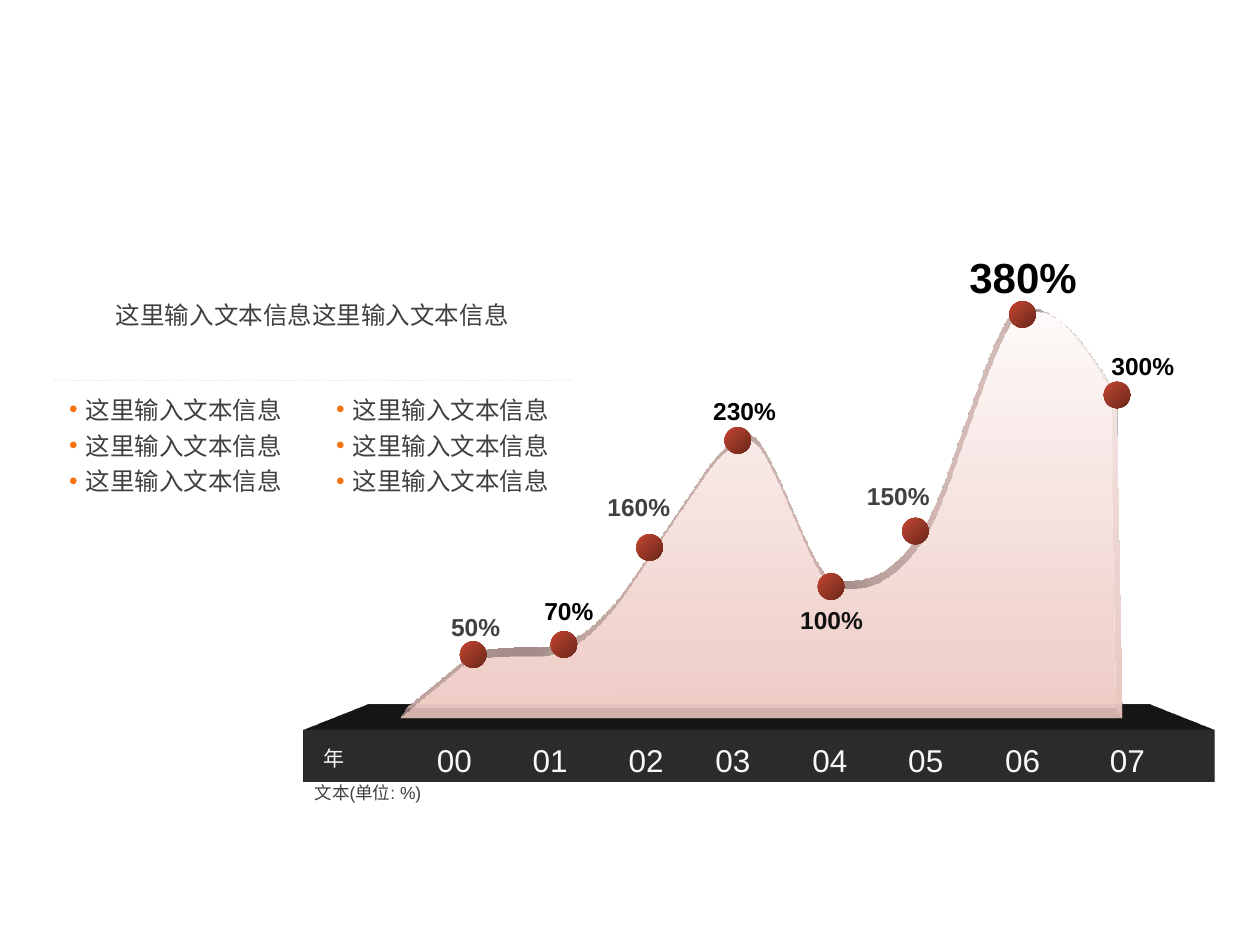
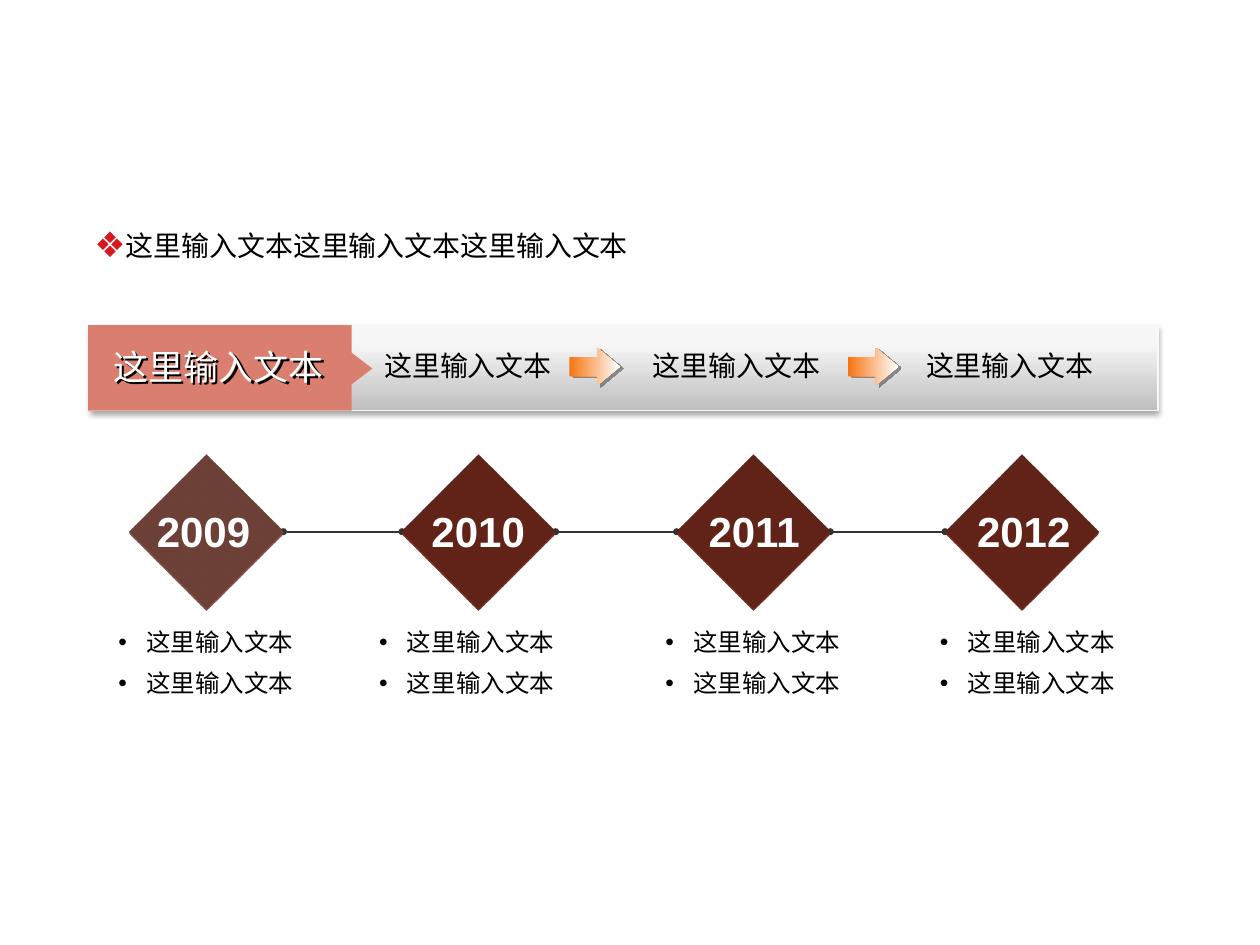
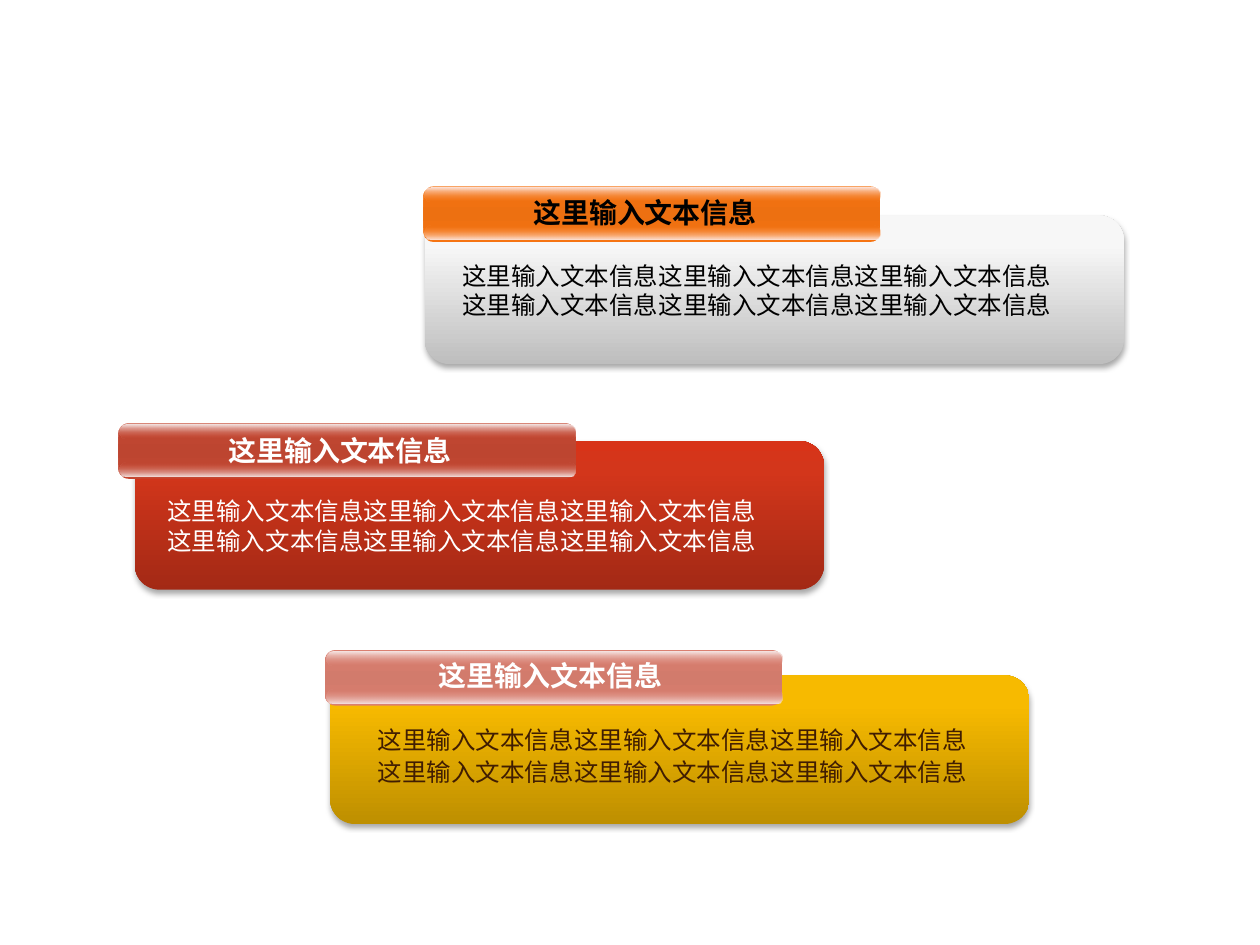
import dataclasses
import typing

import pptx
import pptx.dml.color
import pptx.enum.dml
import pptx.enum.shapes
import pptx.enum.text
import pptx.oxml
import pptx.oxml.ns
import pptx.util

KIND = pptx.enum.shapes.MSO_SHAPE
ALIGN = pptx.enum.text.PP_ALIGN
QN = pptx.oxml.ns.qn
NS = pptx.oxml.ns.nsdecls("a")


@dataclasses.dataclass(frozen=True)
class Theme:
    font: str = "Arial"
    tiny: int = 10
    small: int = 12
    body: int = 14
    head: int = 16
    large: int = 18
    lead: int = 20
    big: int = 24
    gap: int = 7
    black: str = "000000"
    white: str = "FFFFFF"
    pale: str = "F8F8F8"
    ink: str = "404040"
    wire: str = "333333"
    gray: str = "808080"
    rust: str = "C44732"
    rose: str = "DA7F70"
    flame: str = "F67412"


class Box(typing.NamedTuple):
    """A frame in grid cells: 100 columns by 75 rows."""
    x: float
    y: float
    w: float
    h: float


class Stop(typing.NamedTuple):
    at: int
    color: str
    alpha: int = 100


class Shade(typing.NamedTuple):
    color: str
    alpha: int
    blur: float
    dist: float
    turn: int


class Solid(typing.NamedTuple):
    """Depth in cells, seen by a camera under a light."""
    camera: str
    light: str
    side: str
    depth: float
    color: str


class Mark(typing.NamedTuple):
    """A dot on the curve with its label; mid and top place the label."""
    x: float
    y: float
    label: str
    mid: float
    top: float
    ink: str
    size: int


class Step(typing.NamedTuple):
    year: str
    x: float
    text: float
    notes: float
    face: str


@dataclasses.dataclass(frozen=True)
class Card:
    body: Box
    ramp: list[Stop]
    x: float
    y: float
    tab: str
    core: str
    shine: tuple[str, str]
    label: Box
    ink: str
    copy: Box
    tint: str
    pitch: float = 1.0


T = Theme()
COLS, ROWS = 100, 75
CELL = pptx.util.Inches(0.1)
SHADE = Shade(T.black, 35, 3.1, 1.8, 90)
SILVER = [Stop(0, "BEBEBE"), Stop(80, "F7F7F7"), Stop(100, T.pale)]
PROMPT = "这里输入文本"
INFO = PROMPT + "信息"


def cell(n: float) -> int:
    return round(n * CELL)


def node(text: str):
    return pptx.oxml.parse_xml(text)


def rgb(color: str) -> pptx.dml.color.RGBColor:
    return pptx.dml.color.RGBColor.from_string(color)


def tint(tag: str, color: str, alpha: int, attrs: str) -> str:
    return (f'<a:{tag} {attrs}><a:srgbClr val="{color}">'
            f'<a:alpha val="{alpha * 1000}"/></a:srgbClr></a:{tag}>')


def cast(shape, shade: Shade) -> None:
    """Give a shape an outer shadow."""
    pt = pptx.util.Pt
    shape.shadow.inherit = False
    shape._element.spPr.find(QN("a:effectLst")).append(node(tint(
        "outerShdw", shade.color, shade.alpha,
        f'{NS} blurRad="{pt(shade.blur)}" dist="{pt(shade.dist)}" '
        f'dir="{shade.turn * 60000}" algn="ctr" rotWithShape="0"')))


def raise_up(shape, solid: Solid) -> None:
    """Extrude a shape."""
    props = shape._element.spPr
    props.append(node(f'<a:scene3d {NS}><a:camera prst="{solid.camera}"/>'
                      f'<a:lightRig rig="{solid.light}" dir="{solid.side}"/></a:scene3d>'))
    props.append(node(f'<a:sp3d {NS} extrusionH="{cell(solid.depth)}" '
                      'prstMaterial="legacyMatte"><a:extrusionClr>'
                      f'<a:srgbClr val="{solid.color}"/></a:extrusionClr></a:sp3d>'))


def paint(shape, fill: str | list[Stop], turn: int = 90, shade: Shade | None = None,
          edge: str | None = None, solid: Solid | None = None) -> None:
    """Give a shape a plain or graded fill, an edge, a shadow and depth."""
    props = shape._element.spPr
    shape.shadow.inherit = False
    if edge:
        shape.line.color.rgb = rgb(edge)
        shape.line.width = pptx.util.Pt(0.75)
    else:
        shape.line.fill.background()
    if isinstance(fill, str):
        shape.fill.solid()
        shape.fill.fore_color.rgb = rgb(fill)
    else:
        shape.fill.background()
        stops = "".join(tint("gs", s.color, s.alpha, f'pos="{s.at * 1000}"') for s in fill)
        props.replace(props.find(QN("a:noFill")), node(
            f'<a:gradFill {NS} rotWithShape="1"><a:gsLst>{stops}</a:gsLst>'
            f'<a:lin ang="{turn * 60000}" scaled="0"/></a:gradFill>'))
    if shade:
        cast(shape, shade)
    if solid:
        raise_up(shape, solid)


def draw(slide, kind, box: Box, fill: str | list[Stop],
         adj: tuple[float, ...] = (), spin: int = 0, **look) -> None:
    shape = slide.shapes.add_shape(kind, *map(cell, box))
    for i, value in enumerate(adj):
        shape.adjustments[i] = value
    shape.rotation = spin
    paint(shape, fill, **look)


def write(slide, box: Box, *lines: str, size: int = T.body, color: str = T.black,
          bold: bool = False, align=ALIGN.LEFT, wrap: bool = True, pitch: float = 1.0,
          gap: float = 0, bullet: str = "", dot: str = "", scale: int = 100,
          hang: float = 0, tabs: tuple[float, ...] = (),
          shade: Shade | None = None) -> None:
    shape = slide.shapes.add_textbox(*map(cell, box))
    if shade:
        cast(shape, shade)
    frame = shape.text_frame
    frame.word_wrap = wrap
    for i, line in enumerate(lines):
        para = frame.paragraphs[0] if i == 0 else frame.add_paragraph()
        para.alignment = align
        para.line_spacing = pitch
        if i:
            para.space_before = pptx.util.Pt(gap)
        props = para._p.get_or_add_pPr()
        if bullet:
            props.set("marL", str(cell(hang)))
            props.set("indent", str(-cell(hang)))
            if dot:
                props.append(node(f'<a:buClr {NS}><a:srgbClr val="{dot}"/></a:buClr>'))
            props.append(node(f'<a:buSzPct {NS} val="{scale * 1000}"/>'))
            props.append(node(f'<a:buFont {NS} typeface="{T.font}"/>'))
            props.append(node(f'<a:buChar {NS} char="{bullet}"/>'))
        if tabs:
            stops = "".join(f'<a:tab pos="{cell(t)}" algn="l"/>' for t in tabs)
            props.append(node(f'<a:tabLst {NS}>{stops}</a:tabLst>'))
        run = para.add_run()
        run.text = line
        run.font.size = pptx.util.Pt(size)
        run.font.bold = bold
        run.font.name = T.font
        run.font.color.rgb = rgb(color)


def link(slide, left: float, right: float, y: float, color: str,
         dash=None, ends: str = "") -> None:
    line = slide.shapes.add_connector(pptx.enum.shapes.MSO_CONNECTOR.STRAIGHT,
                                      cell(left), cell(y), cell(right), cell(y))
    line.line.color.rgb = rgb(color)
    line.line.width = pptx.util.Pt(1)
    if dash:
        line.line.dash_style = dash
    if ends:
        for tag in ("headEnd", "tailEnd"):
            line._element.spPr.find(QN("a:ln")).append(
                node(f'<a:{tag} {NS} type="{ends}" w="sm" len="sm"/>'))
    line._element.spPr.append(node(f'<a:effectLst {NS}/>'))


def curve(slide, start: tuple[float, float], bends: list[tuple[float, ...]],
          *corners: tuple[float, float]):
    """Build a closed outline of cubic bends followed by straight corners."""
    dots = [dot for b in bends for dot in zip(b[::2], b[1::2])] + list(corners)
    pen = slide.shapes.build_freeform(*map(cell, start), scale=1.0)
    pen.add_line_segments([(cell(x), cell(y)) for x, y in dots], close=True)
    shape = pen.convert_to_shape()
    legs = list(shape._element.iter(QN("a:lnTo")))
    for i in range(0, 3 * len(bends), 3):
        bend = node(f'<a:cubicBezTo {NS}/>')
        legs[i].addprevious(bend)
        for leg in legs[i:i + 3]:
            bend.append(leg[0])
            leg.getparent().remove(leg)
    return shape


BENDS = [
    (42.5, 51.7, 43.1, 52.7, 45.9, 51), (48.6, 49.2, 50.5, 45.9, 52.7, 42.6),
    (55, 39.3, 57.1, 35.4, 59.2, 34.9), (61.3, 34.3, 64.3, 46.5, 66.4, 46.7),
    (68.6, 46.9, 70.7, 46.6, 73.3, 42.9), (75.8, 39.3, 78.9, 25.6, 81.2, 24.8),
    (83.6, 24.1, 85.9, 26.5, 88.7, 31.4), (88.9, 44.2, 89.1, 57, 89.1, 57),
]
MARKS = [
    Mark(36.5, 50.9, "50%", 37.75, 48.1, T.ink, T.body),
    Mark(43.7, 50.1, "70%", 45.15, 46.8, T.black, T.body),
    Mark(50.5, 42.4, "160%", 50.7, 38.6, T.ink, T.body),
    Mark(57.5, 33.9, "230%", 59.1, 30.9, T.black, T.body),
    Mark(64.9, 45.5, "100%", 66, 47.5, "111111", T.body),
    Mark(71.6, 41.1, "150%", 71.3, 37.7, T.ink, T.body),
    Mark(80.1, 23.9, "380%", 81.2, 19.5, T.black, T.big),
    Mark(87.6, 30.3, "300%", 90.7, 27.4, T.black, T.body),
]


def growth(slide) -> None:
    above = "legacyPerspectiveTop"
    draw(slide, KIND.RECTANGLE, Box(24.1, 58, 72.3, 4), T.gray,
         solid=Solid(above, "legacyHarsh3", "t", 17.9, T.gray))
    paint(curve(slide, (37.4, 52.3), BENDS, (31.8, 56.9)),
          [Stop(0, "FEFBFA", 80), Stop(100, "F0CBC5", 80)],
          solid=Solid(above, "legacyFlat3", "t", 2, "F0CBC5"))

    years = "\t".join(f"{year:02}" for year in range(len(MARKS)))
    write(slide, Box(33.7, 58.3, 60, 4), years, size=T.large, color=T.pale,
          tabs=(7.6, 15.2, 22.1, 29.8, 37.4, 45.1, 53.4))
    for mark in MARKS:
        wide, high = (10.6, 5) if mark.size == T.big else (len(mark.label) * 1.1 + 2.6, 3.3)
        write(slide, Box(mark.mid - wide / 2, mark.top, wide, high), mark.label,
              size=mark.size, color=mark.ink, bold=True, align=ALIGN.CENTER, wrap=False)
    write(slide, Box(24, 62.3, 22.9, 2), "文本(单位: %)", size=T.tiny,
          color=T.ink, pitch=0.5)
    write(slide, Box(24.7, 58.9, 7.6, 2.8), "年", size=T.small, color=T.pale, pitch=0.9)
    for mark in MARKS:
        draw(slide, KIND.OVAL, Box(mark.x, mark.y, 2.1, 2.1),
             [Stop(0, T.rust), Stop(100, "6A271B")], turn=45)

    write(slide, Box(4, 23.3, 41.6, 3.4), INFO * 2, color=T.ink, align=ALIGN.CENTER)
    link(slide, 4.3, 45.4, 30.2, "EDE9DF", dash=pptx.enum.dml.MSO_LINE.ROUND_DOT)
    for x in (4.5, 25.7):
        write(slide, Box(x, 31.3, 18.9, 9), *[INFO] * 3, color=T.ink, pitch=0.8,
              gap=T.gap, bullet="•", dot=T.flame, hang=1.3)


STEPS = [
    Step("2009", 10.3, 11.4, 7.5, T.rose),
    Step("2010", 31.9, 33.2, 28.2, T.rust),
    Step("2011", 53.7, 55.1, 50.9, T.rust),
    Step("2012", 75, 76.5, 72.7, T.rust),
]


def timeline(slide) -> None:
    draw(slide, KIND.RECTANGLE, Box(7.2, 25.8, 84.7, 6.8), SILVER, turn=270,
         shade=SHADE, edge="F9F9F9")
    draw(slide, KIND.RECTANGLE, Box(7, 25.8, 20.9, 6.8), T.rose)
    draw(slide, KIND.ISOSCELES_TRIANGLE, Box(26.9, 28.2, 3.2, 2.1), T.rose, spin=90)
    write(slide, Box(7.3, 26.9, 20.1, 4.4), PROMPT, size=T.lead, color=T.white,
          align=ALIGN.CENTER, shade=Shade(T.black, 100, 0, 2, 45))
    for x in (28, 49.3, 71):
        write(slide, Box(x, 27.2, 18.3, 3.7), PROMPT, size=T.head, align=ALIGN.CENTER)
    for x in (45.2, 67.3):
        draw(slide, KIND.RIGHT_ARROW, Box(x, 27.6, 4, 3),
             [Stop(0, T.flame), Stop(100, T.white)], turn=0, adj=(0.5, 0.6),
             shade=Shade(T.wire, 50, 0, 2.2, 27))

    size = 12.2
    for left, right in zip(STEPS, STEPS[1:]):
        link(slide, left.x + size, right.x, 42.2, T.wire, ends="oval")
    for step in STEPS:
        draw(slide, KIND.DIAMOND, Box(step.x, 36.1, size, size), step.face,
             solid=Solid("legacyPerspectiveBottom", "legacyNormal3", "l", 1, step.face))
        write(slide, Box(step.text, 39.6, 9.5, 5), step.year, size=T.big,
              color=T.white, bold=True, align=ALIGN.CENTER)
        write(slide, Box(step.notes, 49.3, 17.7, 6.9), *[PROMPT] * 2,
              align=ALIGN.CENTER, gap=6.5, bullet="•", hang=2.2)
    write(slide, Box(6.5, 17.4, 69.5, 3.7), PROMPT * 3, size=T.head, pitch=1.1,
          bullet="❖", dot="D7181F", scale=125, hang=2.3)


CARDS = [
    Card(Box(33.7, 17.1, 55.5, 11.8), SILVER, 33.6, 14.8, T.flame, "ED7011",
         ("FDE9E5", "FDEBE7"), Box(41.2, 15, 20, 3.7), T.black,
         Box(35.7, 20.2, 50.3, 5.7), T.black),
    Card(Box(26.2, 53.6, 55.5, 11.8),
         [Stop(0, "BE8F00"), Stop(80, "F7BA00"), Stop(100, "F8BB00")],
         25.8, 51.6, T.rose, "D27B6C", ("F8EDEC", "F6E7E5"),
         Box(33.7, 51.8, 20, 3.7), T.white, Box(29, 56.8, 49.6, 6.2), "401D02", 1.1),
    Card(Box(10.7, 35, 54.7, 11.8),
         [Stop(0, "A32915"), Stop(80, "D3361B"), Stop(100, "D83318")],
         9.4, 33.6, T.rust, "BD4530", ("F7EEED", "F5EAE9"),
         Box(17, 33.9, 20, 3.7), T.white, Box(12.3, 38.9, 49.9, 5.7), T.white),
]


def cards(slide) -> None:
    pill = KIND.ROUNDED_RECTANGLE
    for card in CARDS:
        top, foot = card.shine
        draw(slide, pill, card.body, card.ramp, turn=270, shade=SHADE)
        draw(slide, pill, Box(card.x, card.y, 36.3, 4.4),
             [Stop(0, card.tab), Stop(50, card.core), Stop(100, card.tab)], adj=(0.18,))
        for drop, ramp in (
            (3.1, [Stop(0, card.tab, 0), Stop(100, foot)]),
            (0.1, [Stop(0, top), Stop(100, card.tab, 0)]),
        ):
            draw(slide, pill, Box(card.x + 0.1, card.y + drop, 36.2, 1.1), ramp, adj=(0.5,))
        write(slide, card.label, INFO, size=T.head, color=card.ink, bold=True,
              align=ALIGN.CENTER, wrap=False)
        write(slide, card.copy, *[INFO * 3] * 2, color=card.tint, pitch=card.pitch)


def main() -> None:
    deck = pptx.Presentation()
    deck.slide_width, deck.slide_height = cell(COLS), cell(ROWS)
    blank = deck.slide_layouts.get_by_name("Blank")
    for build in (growth, timeline, cards):
        build(deck.slides.add_slide(blank))
    deck.save("out.pptx")


if __name__ == "__main__":
    main()
